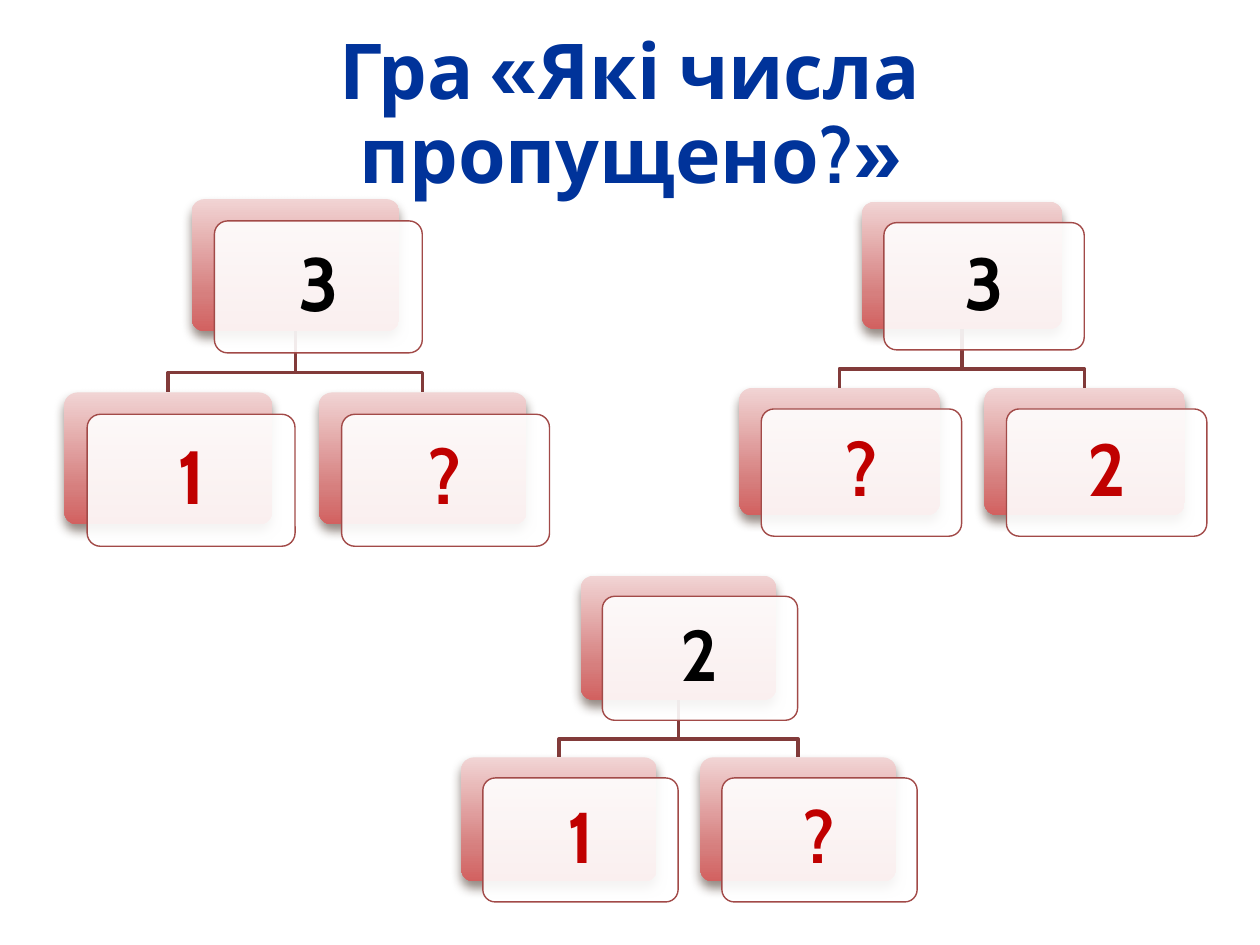
from lxml import etree
from pptx import Presentation
from pptx.dml.color import RGBColor
from pptx.enum import shapes, text
from pptx.oxml import parse_xml
from pptx.oxml.ns import nsdecls, qn
from pptx.util import Inches, Pt

COLORS = {
    "title": "00339A", "title_edge": "F2F2F2",
    "whole": "000000", "part": "C00000",
    "link": "823B3A", "edge": "A24A48", "card": "FFFFFF", "shadow": "4E3B30",
    "top": "F1D4D4", "middle": "D67F7E", "bottom": "D26160",
}
FONT = "Cabin"


def color(name):
    return RGBColor.from_string(COLORS[name])


class TreeSlide:
    """Draws number trees; all proportions are relative to the card width."""

    HEIGHT = 0.635
    SHIFT_X, SHIFT_Y = 0.11, 0.105
    SPREAD = 0.612
    ROW = 0.93
    BEND = 0.2

    def __init__(self, deck):
        self.page = deck.slides.add_slide(deck.slide_layouts[5])

    def style(self, para, size, name):
        para.alignment = text.PP_ALIGN.CENTER
        para.line_spacing = 0.9
        para.font.name = FONT
        para.font.size = Pt(size)
        para.font.bold = True
        para.font.color.rgb = color(name)

    def title(self, wording):
        box = self.page.shapes.title
        box.left, box.top = Inches(0.5), Inches(0.3)
        box.width, box.height = Inches(9), Inches(1.25)
        frame = box.text_frame
        frame.auto_size = text.MSO_AUTO_SIZE.NONE
        frame.word_wrap = True
        frame.vertical_anchor = text.MSO_ANCHOR.MIDDLE
        para = frame.paragraphs[0]
        span = para.add_run()
        span.text = wording
        self.style(para, 44, "title")
        # Thin pale outline around the letters
        span._r.get_or_add_rPr().insert(0, parse_xml(
            f'<a:ln {nsdecls("a")} w="1905"><a:solidFill>'
            f'<a:srgbClr val="{COLORS["title_edge"]}"/></a:solidFill></a:ln>'))

    def link(self, group, points):
        points = [(Inches(x), Inches(y)) for x, y in points]
        builder = group.shapes.build_freeform(*points[0])
        builder.add_line_segments(points[1:], close=False)
        line = builder.convert_to_shape()
        line.fill.background()
        line.line.color.rgb = color("link")
        line.line.width = Pt(2)
        line.shadow.inherit = False

    def rounded(self, group, x, y, width):
        box = group.shapes.add_shape(
            shapes.MSO_SHAPE.ROUNDED_RECTANGLE, Inches(x), Inches(y),
            Inches(width), Inches(width * self.HEIGHT))
        box.adjustments[0] = 0.1
        box.shadow.inherit = False
        return box

    def card(self, group, x, y, width, wording, size, name):
        # Shaded card behind
        back = self.rounded(group, x, y, width)
        back.line.fill.background()
        back.fill.background()
        stops = "".join(
            f'<a:gs pos="{place * 1000}"><a:srgbClr val="{COLORS[stop]}"/></a:gs>'
            for place, stop in ((0, "top"), (72, "middle"), (100, "bottom")))
        properties = back._element.spPr
        properties.replace(properties.find(qn("a:noFill")), parse_xml(
            f'<a:gradFill {nsdecls("a")} rotWithShape="1"><a:gsLst>{stops}</a:gsLst>'
            '<a:lin ang="5400000" scaled="0"/></a:gradFill>'))
        properties.find(qn("a:effectLst")).append(parse_xml(
            f'<a:outerShdw {nsdecls("a")} blurRad="{Pt(6)}" dist="{Pt(4)}" '
            'dir="5400000" rotWithShape="0">'
            f'<a:srgbClr val="{COLORS["shadow"]}"><a:alpha val="60000"/></a:srgbClr>'
            '</a:outerShdw>'))

        # Translucent card in front, with the number
        front = self.rounded(group, x + width * self.SHIFT_X,
                             y + width * self.SHIFT_Y, width)
        front.fill.solid()
        front.fill.fore_color.rgb = color("card")
        fill = front._element.spPr.find(qn("a:solidFill"))
        etree.SubElement(fill[0], qn("a:alpha"), val="90000")
        front.line.color.rgb = color("edge")
        front.line.width = Pt(0.79)
        frame = front.text_frame
        frame.word_wrap = True
        frame.vertical_anchor = text.MSO_ANCHOR.MIDDLE
        frame.margin_left = frame.margin_right = Inches(0.2)
        frame.margin_top = frame.margin_bottom = Inches(0.2)
        para = frame.paragraphs[0]
        para.text = wording
        self.style(para, size, name)

    def tree(self, x, y, width, size, whole, parts):
        group = self.page.shapes.add_group_shape()
        spread = width * self.SPREAD
        row = y + width * self.ROW
        middle, bottom = x + width / 2, y + width * self.HEIGHT
        bend = bottom + width * self.BEND
        for side in (1, -1):
            end = middle + side * spread
            self.link(group, [(middle, bottom), (middle, bend), (end, bend), (end, row)])
        self.card(group, x, y, width, whole, size, "whole")
        for side, part in zip((-1, 1), parts):
            self.card(group, x + side * spread, row, width, part, size, "part")


def main():
    deck = Presentation()
    deck.slide_width, deck.slide_height = Inches(10), Inches(7.5)
    slide = TreeSlide(deck)
    slide.title("Гра «Які числа пропущено?»")

    # Number trees: left, top, card width, text size, whole, parts
    slide.tree(1.52, 1.58, 1.65, 43, "3", ("1", "?"))
    slide.tree(6.84, 1.6, 1.59, 42, "3", ("?", "2"))
    slide.tree(4.61, 4.57, 1.55, 41, "2", ("1", "?"))
    deck.save("out.pptx")


if __name__ == "__main__":
    main()
